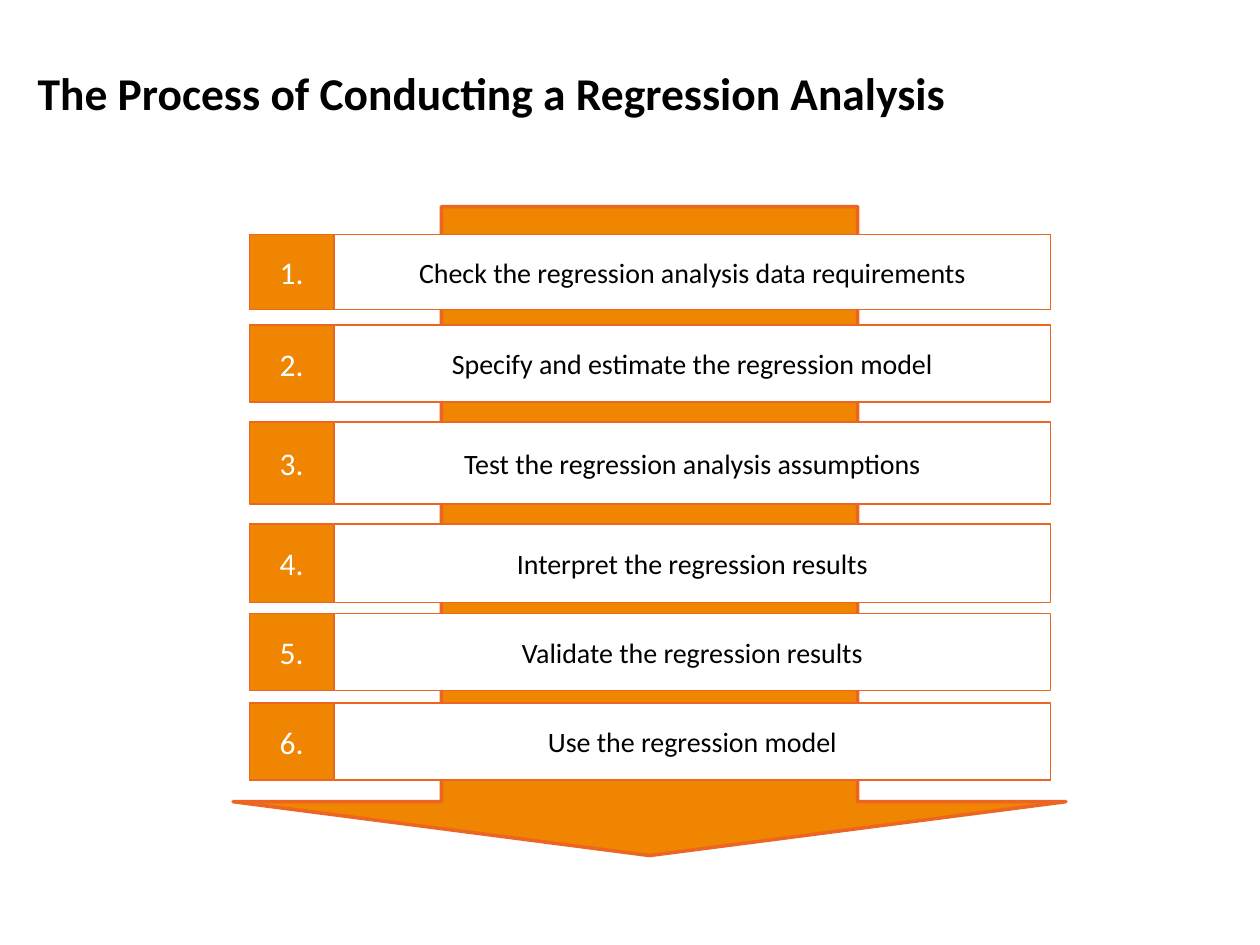
from pptx import Presentation
from pptx import util as u
from pptx.dml.color import RGBColor
from pptx.enum import shapes, text

ORANGE = RGBColor(0xEF, 0x85, 0x00)
EDGE = RGBColor(0xEC, 0x65, 0x23)
WHITE = RGBColor(0xFF, 0xFF, 0xFF)
BLACK = RGBColor(0x00, 0x00, 0x00)

prs = Presentation()
prs.slide_width, prs.slide_height = u.Inches(10), u.Inches(7.5)
COL = prs.slide_width / 100   # grid of 100 columns
ROW = prs.slide_height / 75   # by 75 rows
s = prs.slides.add_slide(prs.slide_layouts[6])


def write(sp, words, size=16, color=BLACK, bold=False, align=text.PP_ALIGN.CENTER):
    tf = sp.text_frame
    tf.word_wrap = True
    tf.vertical_anchor = text.MSO_ANCHOR.MIDDLE
    p = tf.paragraphs[0]
    p.alignment = align
    r = p.add_run()
    r.text = words
    r.font.name, r.font.size, r.font.bold = "Calibri", u.Pt(size), bold
    r.font.color.rgb = color


def block(kind, x, y, w, h, fill, line=0.75):
    sp = s.shapes.add_shape(kind, round(x * COL), round(y * ROW), round(w * COL), round(h * ROW))
    sp.shadow.inherit = False
    sp.fill.solid()
    sp.fill.fore_color.rgb = fill
    sp.line.color.rgb = EDGE
    sp.line.width = u.Pt(line)
    return sp


# Title, set slightly above the middle of its box
title = s.shapes.add_textbox(round(2 * COL), round(1.4 * ROW), round(96.1 * COL), round(12.5 * ROW))
title.text_frame.margin_bottom = u.Inches(0.12)
write(title, "The Process of Conducting a Regression Analysis",
      size=26, bold=True, align=text.PP_ALIGN.LEFT)

# Arrow behind the steps
arrow = block(shapes.MSO_SHAPE.DOWN_ARROW, 18.5, 16.4, 66.1, 51.5, ORANGE, line=2)
arrow.adjustments[0], arrow.adjustments[1] = 0.5, 0.083

# Steps: top row, height in rows, wording
steps = [
    (18.6, 6.0, "Check the regression analysis data requirements"),
    (25.8, 6.1, "Specify and estimate the regression model"),
    (33.5, 6.5, "Test the regression analysis assumptions"),
    (41.6, 6.2, "Interpret the regression results"),
    (48.7, 6.1, "Validate the regression results"),
    (55.8, 6.1, "Use the regression model"),
]
NUM_X, NUM_W, STEP_W = 19.8, 6.7, 56.9
for n, (top, height, words) in enumerate(steps, 1):
    step = block(shapes.MSO_SHAPE.RECTANGLE, NUM_X + NUM_W, top, STEP_W, height, WHITE)
    write(step, words)
    number = block(shapes.MSO_SHAPE.RECTANGLE, NUM_X, top, NUM_W, height, ORANGE)
    write(number, f"{n}.", size=18, color=WHITE)

prs.save("out.pptx")
